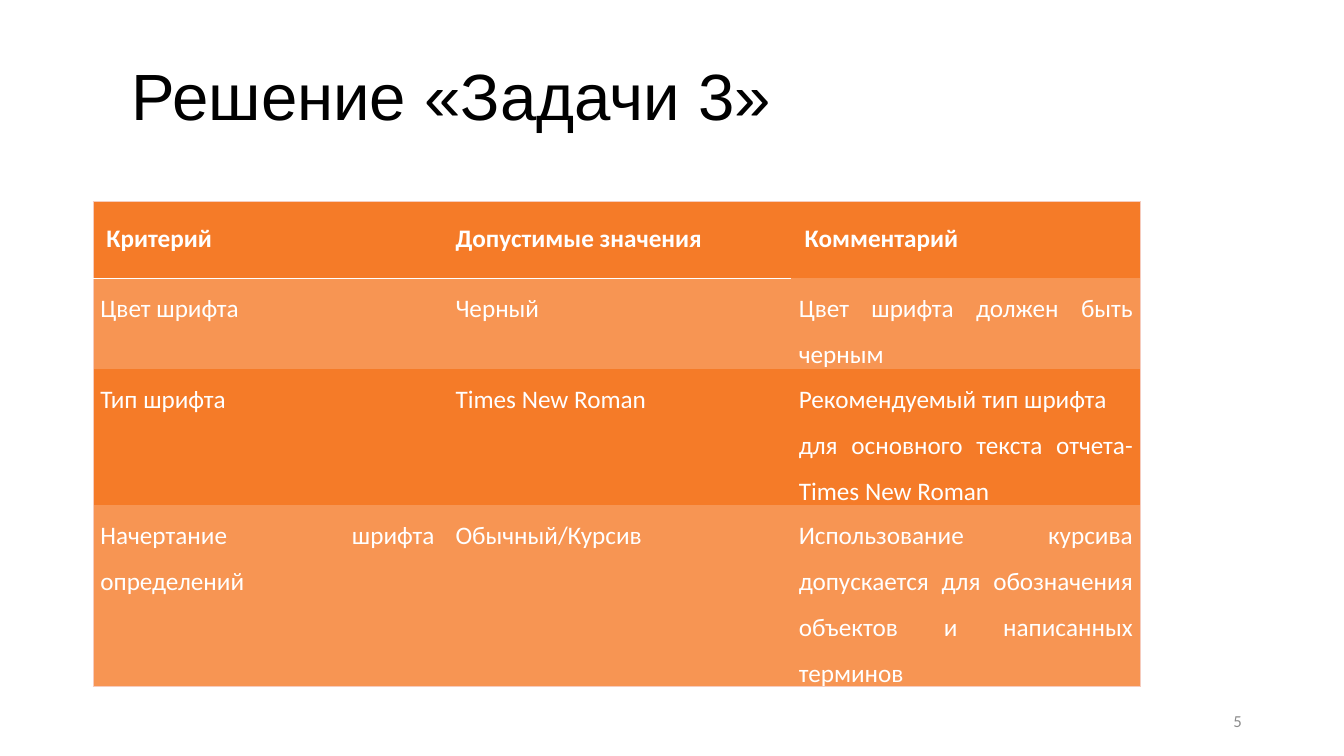
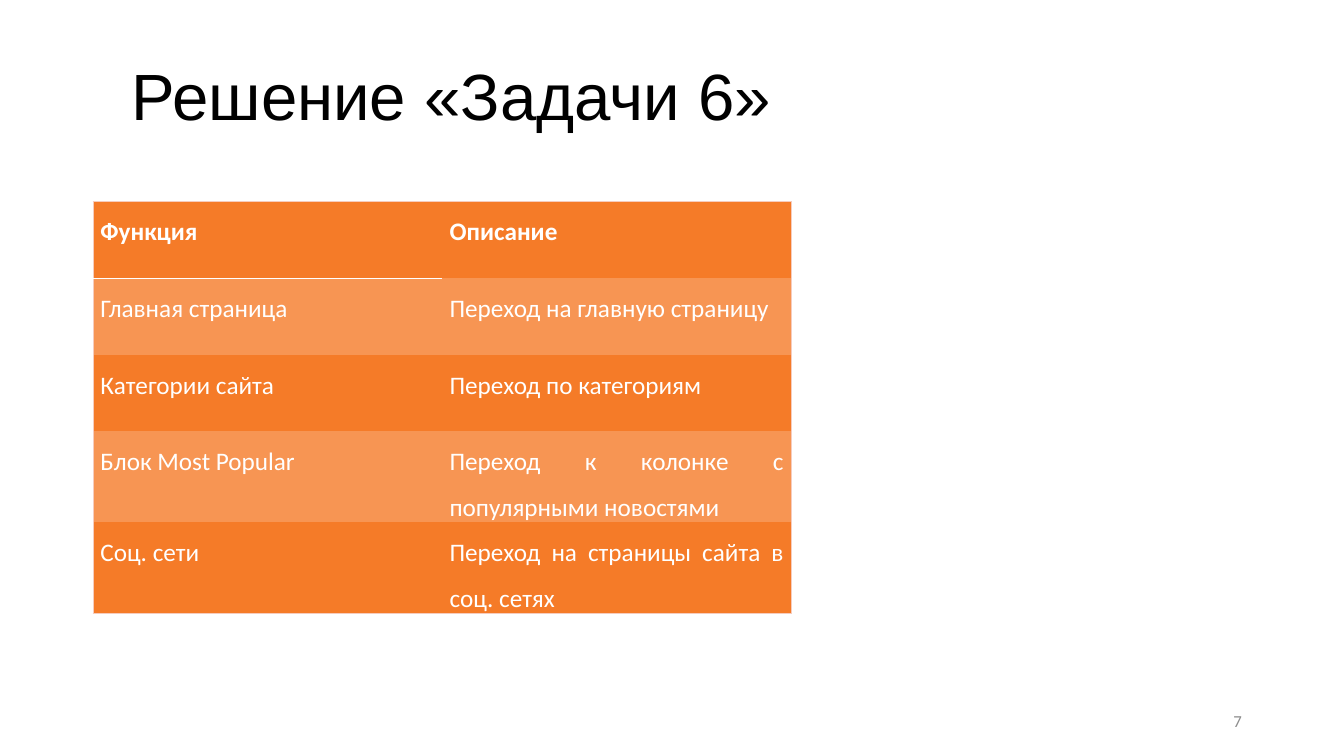
from dataclasses import dataclass

from lxml.etree import SubElement
from pptx import Presentation
from pptx.dml.color import RGBColor
from pptx.enum.text import MSO_ANCHOR, PP_ALIGN
from pptx.oxml.ns import qn
from pptx.slide import Slide
from pptx.table import _Cell
from pptx.text.text import TextFrame
from pptx.util import Cm, Pt

BLACK = RGBColor(0x00, 0x00, 0x00)
WHITE = RGBColor(0xFF, 0xFF, 0xFF)
GRAY = RGBColor(0x8C, 0x8C, 0x8C)
ORANGE = RGBColor(0xF5, 0x7B, 0x28)
LIGHT_ORANGE = RGBColor(0xF7, 0x95, 0x53)
FRAME = RGBColor(0xF6, 0xCC, 0xBE)

COL_WIDTH = Cm(8.8)
ROW_HEIGHT = Cm(1.93)
NARROW = Cm(0.19)
WIDE = Cm(0.34)


@dataclass(frozen=True)
class TableSlide:
    title: str
    number: int
    rows: list[tuple[str, ...]]
    padded_header: bool = False
    indented_cols: tuple[int, ...] = ()


SLIDES = [
    TableSlide(
        "Решение «Задачи 3»", 5,
        [
            ("Критерий", "Допустимые значения", "Комментарий"),
            ("Цвет шрифта", "Черный", "Цвет шрифта должен быть черным"),
            ("Тип шрифта", "Times New Roman",
             "Рекомендуемый тип шрифта\n"
             "для основного текста отчета- Times New Roman"),
            ("Начертание шрифта определений", "Обычный/Курсив",
             "Использование курсива допускается для обозначения "
             "объектов и написанных терминов"),
        ],
        padded_header=True,
        indented_cols=(1,),
    ),
    TableSlide(
        "Решение «Задачи 6»", 7,
        [
            ("Функция", "Описание"),
            ("Главная страница", "Переход на главную страницу"),
            ("Категории сайта", "Переход по категориям"),
            ("Блок Most Popular", "Переход к колонке с популярными новостями"),
            ("Соц. сети", "Переход на страницы сайта в соц. сетях"),
        ],
    ),
]


def write(tf: TextFrame, text: str, *, size: float, color: RGBColor,
          font: str = "Calibri", bold: bool = False,
          align: PP_ALIGN = PP_ALIGN.LEFT, spacing: float = 1.0) -> None:
    tf.word_wrap = True
    for i, line in enumerate(text.split("\n")):
        p = tf.add_paragraph() if i else tf.paragraphs[0]
        p.alignment = align
        p.line_spacing = spacing
        r = p.add_run()
        r.text = line
        r.font.name = font
        r.font.size = Pt(size)
        r.font.bold = bold
        r.font.color.rgb = color


def add_box(s: Slide, left: Cm, top: Cm, width: Cm, height: Cm) -> TextFrame:
    tf = s.shapes.add_textbox(left, top, width, height).text_frame
    tf.vertical_anchor = MSO_ANCHOR.MIDDLE
    return tf


def set_borders(cell: _Cell, borders: dict[str, tuple[RGBColor, float] | None]) -> None:
    tc_pr = cell._tc.get_or_add_tcPr()
    for i, (side, border) in enumerate(borders.items()):
        ln = SubElement(tc_pr, qn(f"a:ln{side}"))
        if border:
            color, width = border
            ln.set("w", str(Pt(width)))
            fill = SubElement(ln, qn("a:solidFill"))
            SubElement(fill, qn("a:srgbClr")).set("val", str(color))
        else:
            SubElement(ln, qn("a:noFill"))
        tc_pr.insert(i, ln)


def add_table(s: Slide, data: TableSlide) -> None:
    n_rows, n_cols = len(data.rows), len(data.rows[0])
    table = s.shapes.add_table(n_rows, n_cols, Cm(2.34), Cm(5.08),
                               COL_WIDTH * n_cols, ROW_HEIGHT * n_rows).table
    for col in table.columns:
        col.width = COL_WIDTH
    for row in table.rows:
        row.height = ROW_HEIGHT

    outer = (FRAME, 0.5)
    for r, texts in enumerate(data.rows):
        for c, text in enumerate(texts):
            cell = table.cell(r, c)
            header = r == 0
            padded = header and data.padded_header
            indented = padded or c in data.indented_cols
            cell.margin_left = WIDE if indented else NARROW
            cell.margin_right = WIDE if padded else NARROW
            cell.margin_top = cell.margin_bottom = Cm(0.17) if padded else 0
            cell.fill.solid()
            cell.fill.fore_color.rgb = LIGHT_ORANGE if r % 2 else ORANGE
            write(cell.text_frame, text, size=18, color=WHITE, bold=header,
                  align=PP_ALIGN.LEFT if padded else PP_ALIGN.JUSTIFY, spacing=1.5)
            rule = (WHITE, 0.75) if c < n_cols - 1 else None
            set_borders(cell, {
                "L": outer if c == 0 else None,
                "R": outer if c == n_cols - 1 else None,
                "T": outer if header else rule if r == 1 else None,
                "B": rule if header else outer if r == n_rows - 1 else None,
            })


def add_slide(prs: Presentation, data: TableSlide) -> None:
    s = prs.slides.add_slide(prs.slide_layouts[6])
    write(add_box(s, Cm(3.07), Cm(1.35), Cm(30.23), Cm(2.31)), data.title,
          size=46.7, color=BLACK, font="Arial", spacing=0.9)
    write(add_box(s, Cm(23.93), Cm(17.65), Cm(7.62), Cm(1.02)), str(data.number),
          size=12, color=GRAY, align=PP_ALIGN.RIGHT)
    add_table(s, data)


def main() -> None:
    prs = Presentation()
    prs.slide_width = Cm(33.87)
    prs.slide_height = Cm(19.05)
    for data in SLIDES:
        add_slide(prs, data)
    prs.save("out.pptx")


if __name__ == "__main__":
    main()
